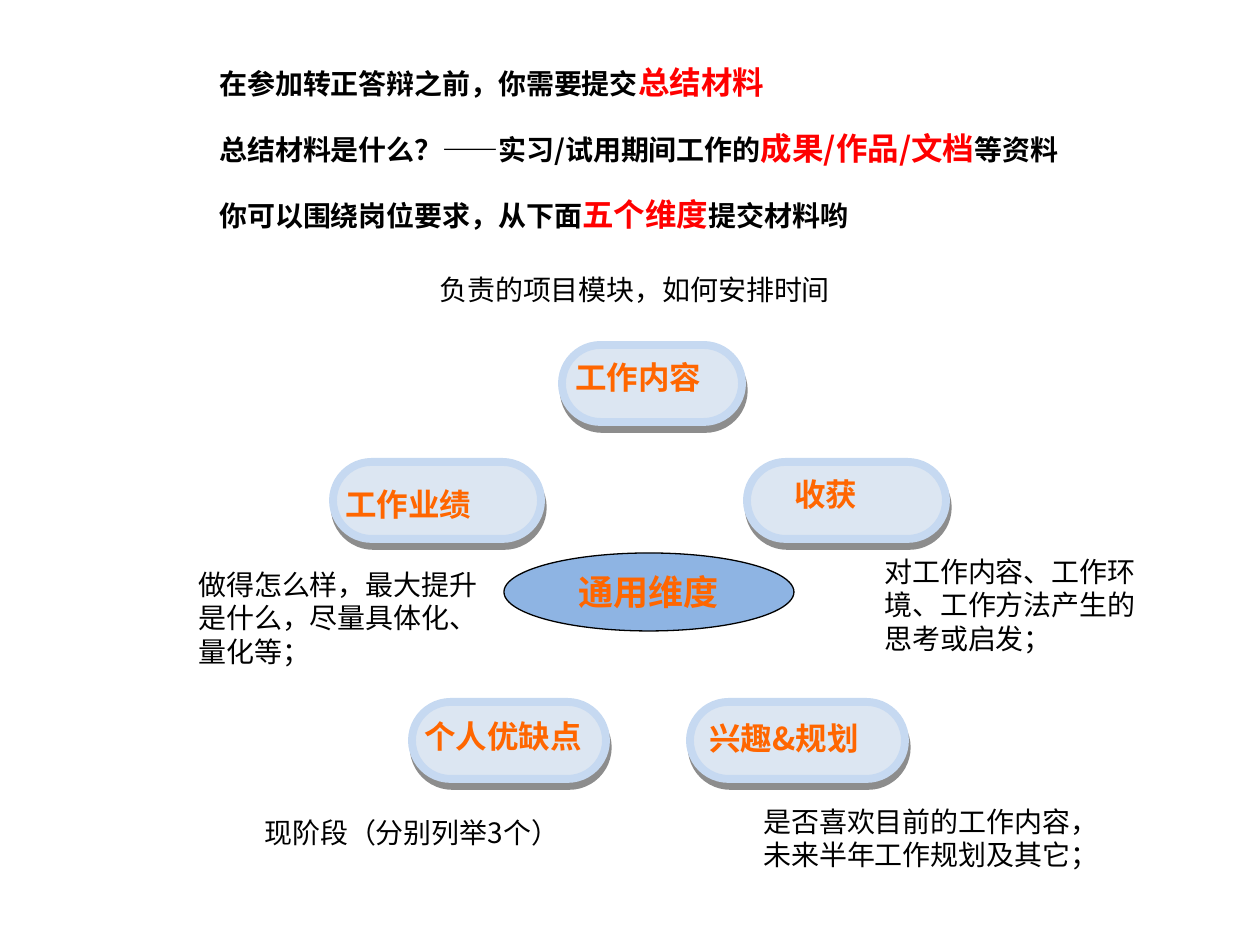
from dataclasses import dataclass
from lxml import etree
from pptx import Presentation
from pptx.dml.color import RGBColor
from pptx.enum.shapes import MSO_SHAPE
from pptx.enum.text import MSO_ANCHOR, PP_ALIGN
from pptx.oxml.ns import qn
from pptx.util import Pt

PILL, OVAL = MSO_SHAPE.ROUNDED_RECTANGLE, MSO_SHAPE.OVAL
TOP, MIDDLE = MSO_ANCHOR.TOP, MSO_ANCHOR.MIDDLE
LEFT, CENTER = PP_ALIGN.LEFT, PP_ALIGN.CENTER
SCALE = 914400 / 126  # EMU per px
PILL_H, LABEL_H = 77, 50


@dataclass(frozen=True)
class Theme:
    font: str = "Noto Sans CJK SC"
    ink: str = "000000"
    red: str = "FF0000"
    orange: str = "FF6600"
    pill: str = "DCE6F2"
    rim: str = "C6D9F1"
    hub: str = "8EB4E3"
    shade: str = "1C1C1C"
    body: int = 16
    key: int = 18
    core: int = 20


T = Theme()


def emu(*vals):
    return [round(v * SCALE) for v in vals]


def add_run(para, text, size, color, bold=False):
    run = para.add_run()
    run.text = text
    font = run.font
    font.name, font.size, font.bold = T.font, Pt(size), bold
    font.color.rgb = RGBColor.from_string(color)
    east = etree.SubElement(run._r.get_or_add_rPr(), qn("a:ea"))
    east.set("typeface", T.font)


def fill_text(shape, paras, align=LEFT, anchor=TOP, lead=None, gap=0):
    """Each paragraph is a list of (text, size, color, bold) runs."""
    frame = shape.text_frame
    frame.word_wrap = True
    frame.vertical_anchor = anchor
    for i, runs in enumerate(paras):
        para = frame.paragraphs[0] if i == 0 else frame.add_paragraph()
        para.alignment = align
        if lead:
            para.line_spacing = lead
        if gap:
            para.space_after = Pt(gap)
            if i:
                para.space_before = Pt(gap)
        for run in runs:
            add_run(para, *run)


def add_text(slide, box, paras, **style):
    fill_text(slide.shapes.add_textbox(*emu(*box)), paras, **style)


def add_form(slide, kind, box, fill, line, width):
    form = slide.shapes.add_shape(kind, *emu(*box))
    form.shadow.inherit = False
    form.fill.solid()
    form.fill.fore_color.rgb = RGBColor.from_string(fill)
    form.line.color.rgb = RGBColor.from_string(line)
    form.line.width = Pt(width)
    return form


def add_shade(form):
    effects = form._element.spPr.find(qn("a:effectLst"))
    shade = etree.SubElement(effects, qn("a:outerShdw"), blurRad="0",
                             dist=str(Pt(4.1)), dir=str(76 * 60000),
                             algn="ctr", rotWithShape="0")
    color = etree.SubElement(shade, qn("a:srgbClr"), val=T.shade)
    etree.SubElement(color, qn("a:alpha"), val="50000")


def add_intro(slide, box):
    def plain(text):
        return text, T.body, T.ink, True

    def hot(text):
        return text, T.key, T.red, True

    add_text(slide, box, [
        [plain("在参加转正答辩之前，你需要提交"), hot("总结材料")],
        [plain("总结材料是什么？——实习/试用期间工作的"),
         hot("成果/作品/文档"), plain("等资料")],
        [plain("你可以围绕岗位要求，从下面"), hot("五个维度"),
         plain("提交材料哟")],
    ], lead=1.2, gap=6)


def add_pill(slide, box):
    pill = add_form(slide, PILL, box, T.pill, T.rim, 4.5)
    pill.adjustments[0] = 0.5
    add_shade(pill)


def add_topic(slide, box, name, shift, note, spot):
    """Pill with its label and note, both placed from the pill's corner."""
    x, y, w, h = box
    add_pill(slide, box)
    dx, dy = shift
    add_text(slide, (x + dx, y + dy, w + 20, LABEL_H),
             [[(name, T.key, T.orange, True)]])
    dx, dy, w, h = spot
    add_text(slide, (x + dx, y + dy, w, h),
             [[(line, T.body, T.ink)] for line in note])


def add_hub(slide, box):
    hub = add_form(slide, OVAL, box, T.hub, T.ink, 0.75)
    fill_text(hub, [[("通用维度", T.core, T.orange, True)]],
              align=CENTER, anchor=MIDDLE)


# pill left, top, width; label and its shift; note lines and their box
TOPICS = [
    (562, 345, 180, "工作内容", (1, 7),
     ["负责的项目模块，如何安排时间"], (-135, -79, 527, 47)),
    (333, 462, 208, "工作业绩", (0, 17),
     ["做得怎么样，最大提升是什么，尽量具体化、量化等；"], (-147, 99, 316, 113)),
    (747, 462, 199, "收获", (35, 7),
     ["对工作内容、工作环境、工作方法产生的思考或启发；"], (125, 86, 290, 113)),
    (412, 702, 194, "个人优缺点", (0, 9),
     ["现阶段（分别列举3个）"], (-160, 107, 373, 48)),
    (690, 702, 215, "兴趣&规划", (7, 11),
     ["是否喜欢目前的工作内容，", "未来半年工作规划及其它；"], (61, 96, 370, 81)),
]


def main():
    deck = Presentation()
    deck.slide_width, deck.slide_height = emu(1260, 945)
    slide = deck.slides.add_slide(deck.slide_layouts[6])
    add_intro(slide, (207, 49, 1221, 192))
    for x, y, w, *rest in TOPICS:
        add_topic(slide, (x, y, w, PILL_H), *rest)
    add_hub(slide, (504, 553, 290, 78))
    deck.save("out.pptx")


if __name__ == "__main__":
    main()
